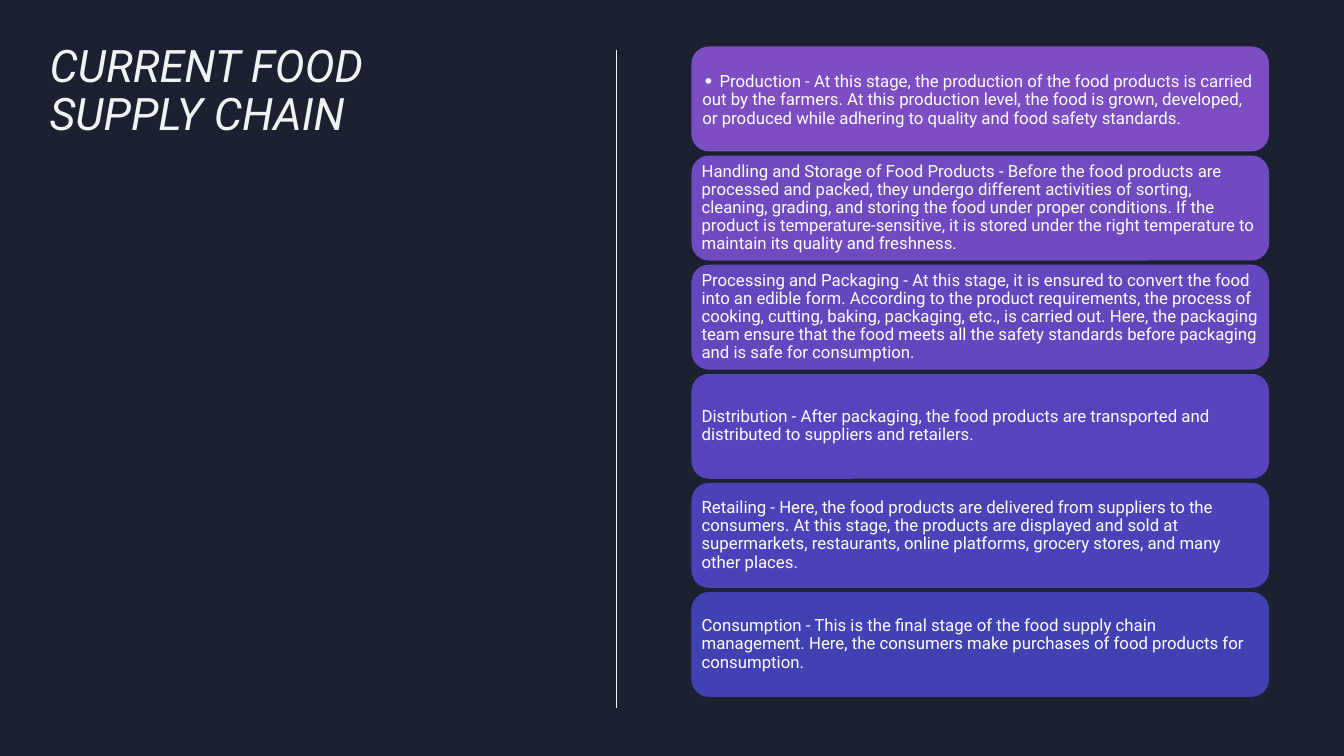
import dataclasses

import lxml.etree
import pptx
import pptx.dml.color
import pptx.enum.shapes
import pptx.enum.text
import pptx.oxml.ns
import pptx.util

Pt = pptx.util.Pt


@dataclasses.dataclass(frozen=True)
class Theme:
    font: str = "Roboto"
    background: str = "1B2130"
    light: str = "F0F3F3"
    card_text: str = "FFFFFF"
    card_fills: tuple = ("7D4DC3", "704AC1", "6446BF", "5743BD", "4B42B9", "4141B4")
    title_size: float = 32
    bullet_size: float = 14
    card_size: float = 12
    line_spacing: float = 0.9


BULLET = "∙ "
STAGES = (
    "Production - At this stage, the production of the food products is carried out by the farmers. "
    "At this production level, the food is grown, developed, or produced while adhering to quality "
    "and food safety standards.",
    "Handling and Storage of Food Products - Before the food products are processed and packed, they "
    "undergo different activities of sorting, cleaning, grading, and storing the food under proper "
    "conditions. If the product is temperature-sensitive, it is stored under the right temperature "
    "to maintain its quality and freshness.",
    "Processing and Packaging - At this stage, it is ensured to convert the food into an edible form. "
    "According to the product requirements, the process of cooking, cutting, baking, packaging, etc., "
    "is carried out. Here, the packaging team ensure that the food meets all the safety standards "
    "before packaging and is safe for consumption.",
    "Distribution - After packaging, the food products are transported and distributed to suppliers "
    "and retailers.",
    "Retailing - Here, the food products are delivered from suppliers to the consumers. At this stage, "
    "the products are displayed and sold at supermarkets, restaurants, online platforms, grocery "
    "stores, and many other places.",
    "Consumption - This is the final stage of the food supply chain management. Here, the consumers "
    "make purchases of food products for consumption.",
)


class SlideBuilder:
    def __init__(self, page, theme):
        self.page = page
        self.theme = theme
        self.paint(page.background.fill, theme.background)

    def paint(self, fill, color):
        fill.solid()
        fill.fore_color.rgb = pptx.dml.color.RGBColor.from_string(color)

    def add_text(self, shape, runs, color, inset, anchor, italic=False):
        frame = shape.text_frame
        frame.word_wrap = True
        frame.auto_size = pptx.enum.text.MSO_AUTO_SIZE.NONE
        frame.vertical_anchor = anchor
        frame.margin_left = frame.margin_right = Pt(inset)
        frame.margin_top = frame.margin_bottom = Pt(inset)
        para = frame.paragraphs[0]
        para.alignment = pptx.enum.text.PP_ALIGN.LEFT
        para.line_spacing = self.theme.line_spacing
        for text, size in runs:
            span = para.add_run()
            span.text = text
            span.font.name = self.theme.font
            span.font.size = Pt(size)
            span.font.italic = italic
            span.font.color.rgb = pptx.dml.color.RGBColor.from_string(color)

    def title(self, text, left, top, width, height):
        box = self.page.shapes.title
        box.left, box.top, box.width, box.height = Pt(left), Pt(top), Pt(width), Pt(height)
        runs = [(text, self.theme.title_size)]
        self.add_text(box, runs, self.theme.light, 0, pptx.enum.text.MSO_ANCHOR.TOP, italic=True)

    def divider(self, x, top, bottom):
        line = self.page.shapes.add_connector(
            pptx.enum.shapes.MSO_CONNECTOR.STRAIGHT, Pt(x), Pt(top), Pt(x), Pt(bottom))
        line.line.width = Pt(0.75)
        line.line.color.rgb = pptx.dml.color.RGBColor.from_string(self.theme.light)
        properties = line.element.find(pptx.oxml.ns.qn("p:spPr"))
        lxml.etree.SubElement(properties, pptx.oxml.ns.qn("a:effectLst"))

    def card(self, runs, fill, inset, left, top, width, height):
        box = self.page.shapes.add_shape(
            pptx.enum.shapes.MSO_SHAPE.ROUNDED_RECTANGLE, Pt(left), Pt(top), Pt(width), Pt(height))
        box.shadow.inherit = False
        box.line.fill.background()
        self.paint(box.fill, fill)
        self.add_text(box, runs, self.theme.card_text, inset, pptx.enum.text.MSO_ANCHOR.MIDDLE)


def main():
    theme = Theme()
    deck = pptx.Presentation()
    deck.slide_width, deck.slide_height = Pt(960), Pt(540)
    builder = SlideBuilder(deck.slides.add_slide(deck.slide_layouts[5]), theme)

    builder.title("CURRENT FOOD SUPPLY CHAIN", 35.5, 31, 299, 469.5)
    builder.divider(440.5, 35.5, 505.5)

    card_top, card_height, card_gap = 33.2, 75, 2.93
    for index, (stage, fill) in enumerate(zip(STAGES, theme.card_fills)):
        runs = [(stage, theme.card_size)]
        inset = 3.6
        if index == 0:
            runs.insert(0, (BULLET, theme.bullet_size))
            inset = 4.2
        top = card_top + index * (card_height + card_gap)
        builder.card(runs, fill, inset, 493.9, top, 412.6, card_height)

    deck.save("out.pptx")


if __name__ == "__main__":
    main()
